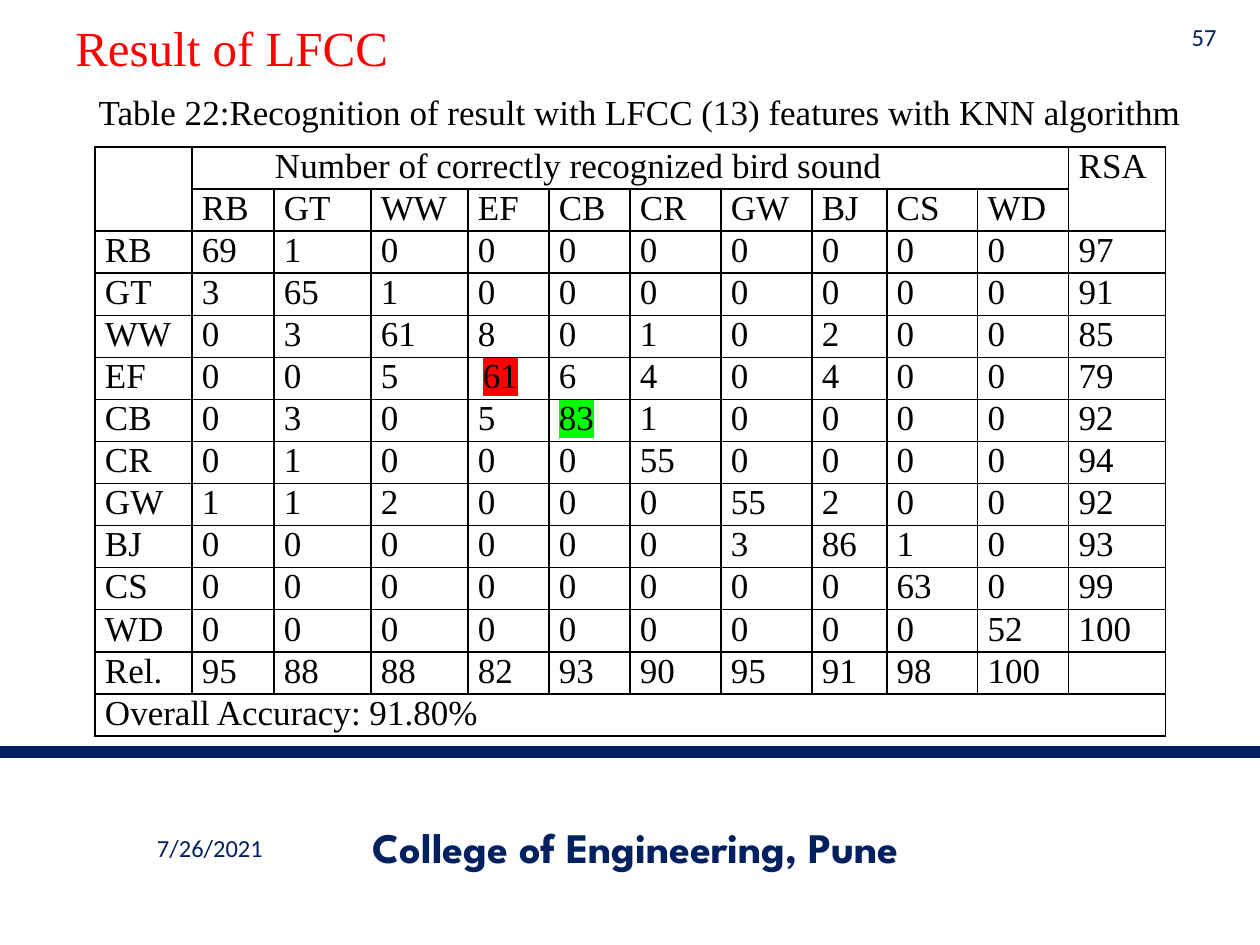
from lxml.etree import SubElement
from pptx import Presentation
from pptx.dml.color import RGBColor
from pptx.enum.shapes import MSO_CONNECTOR as Connector
from pptx.enum.text import MSO_ANCHOR as Anchor, PP_ALIGN as Align
from pptx.oxml import parse_xml
from pptx.oxml.ns import nsdecls, qn
from pptx.util import Pt

PX = 914400 / 126
SERIF = "Times New Roman"
NAVY, BLACK, RED, GREEN = "002060", "000000", "FF0000", "00FF00"


def set_font(paragraph, size, name, color, bold=False):
    font = paragraph.font
    font.size, font.name, font.bold = Pt(size), name, bold
    font.color.rgb = RGBColor.from_string(color)


def add_text(text, box, size, name, color, align, anchor=Anchor.MIDDLE, bold=False):
    frame = slide.shapes.add_textbox(*[int(v * PX) for v in box]).text_frame
    frame.word_wrap = True
    frame.vertical_anchor = anchor
    paragraph = frame.paragraphs[0]
    paragraph.text = text
    paragraph.alignment = align
    set_font(paragraph, size, name, color, bold)


prs = Presentation()
prs.slide_width, prs.slide_height = int(1260 * PX), int(945 * PX)
slide = prs.slides.add_slide(prs.slide_layouts[6])

# Footer rule
rule = slide.shapes.add_connector(
    Connector.STRAIGHT, 0, int(752 * PX), int(1260 * PX), int(752 * PX))
rule.line.width = Pt(6.5)
rule.line.color.rgb = RGBColor.from_string(NAVY)
SubElement(rule._element.spPr, qn("a:effectLst"))

# Title, footer, page number and caption
add_text("Result of LFCC", (63, -32, 1134, 158), 28, SERIF, RED, Align.LEFT)
add_text("7/26/2021", (63, 823, 294, 50), 14, "Calibri", NAVY, Align.CENTER)
add_text("College of Engineering, Pune", (305, 822, 662, 50), 24,
         "League Spartan", NAVY, Align.CENTER, bold=True)
add_text("57", (1166, 19, 63, 35), 14, "Calibri", NAVY, Align.RIGHT)
add_text("Table 22:Recognition of result with LFCC (13) features with KNN algorithm",
         (73, 84, 1134, 55), 20, SERIF, BLACK, Align.CENTER, Anchor.TOP)

# Confusion matrix: recognized counts per bird, then RSA
birds = ["RB", "GT", "WW", "EF", "CB", "CR", "GW", "BJ", "CS", "WD"]
counts = [
    [69, 1, 0, 0, 0, 0, 0, 0, 0, 0, 97],
    [3, 65, 1, 0, 0, 0, 0, 0, 0, 0, 91],
    [0, 3, 61, 8, 0, 1, 0, 2, 0, 0, 85],
    [0, 0, 5, 61, 6, 4, 0, 4, 0, 0, 79],
    [0, 3, 0, 5, 83, 1, 0, 0, 0, 0, 92],
    [0, 1, 0, 0, 0, 55, 0, 0, 0, 0, 94],
    [1, 1, 2, 0, 0, 0, 55, 2, 0, 0, 92],
    [0, 0, 0, 0, 0, 0, 3, 86, 1, 0, 93],
    [0, 0, 0, 0, 0, 0, 0, 0, 63, 0, 99],
    [0, 0, 0, 0, 0, 0, 0, 0, 0, 52, 100],
]
reliability = [95, 88, 88, 82, 93, 90, 95, 91, 98, 100]
rows = [
    ["", "Number of correctly recognized bird sound"] + [""] * 9 + ["RSA"],
    ["", *birds, ""],
    *[[bird, *values] for bird, values in zip(birds, counts)],
    ["Rel.", *reliability, ""],
    ["Overall Accuracy: 91.80%"] + [""] * 11,
]
col_widths = [97, 82, 97, 97, 81, 81, 91, 91, 75, 91, 91, 97]
row_height = 42
indents = {(0, 1): 83, (5, 4): 15}
highlights = {(5, 4): RED, (6, 5): GREEN}

matrix = slide.shapes.add_table(
    len(rows), len(col_widths), int(95 * PX), int(147 * PX),
    int(sum(col_widths) * PX), int(row_height * len(rows) * PX)).table
matrix.first_row = matrix.horz_banding = False
for column, width in zip(matrix.columns, col_widths):
    column.width = int(width * PX)

for r, values in enumerate(rows):
    matrix.rows[r].height = int(row_height * PX)
    for c, value in enumerate(values):
        cell = matrix.cell(r, c)
        cell.margin_left = int(indents.get((r, c), 10) * PX)
        cell.margin_right = cell.margin_top = cell.margin_bottom = 0
        cell.fill.background()
        paragraph = cell.text_frame.paragraphs[0]
        if value != "":
            paragraph.text = str(value)
        set_font(paragraph, 20, SERIF, BLACK)
        if (r, c) in highlights:
            run_props = paragraph.runs[0]._r.get_or_add_rPr()
            mark = SubElement(run_props, qn("a:highlight"))
            SubElement(mark, qn("a:srgbClr"), val=highlights[r, c])
        # Borders come before the fill in the cell properties
        for i, side in enumerate("LRTB"):
            cell._tc.get_or_add_tcPr().insert(i, parse_xml(
                f'<a:ln{side} {nsdecls("a")} w="12700"><a:solidFill>'
                f'<a:srgbClr val="{BLACK}"/></a:solidFill></a:ln{side}>'))

# Spanning header and total cells
for first, last in [((0, 0), (1, 0)), ((0, 1), (0, 10)),
                    ((0, 11), (1, 11)), ((13, 0), (13, 11))]:
    matrix.cell(*first).merge(matrix.cell(*last))

prs.save("out.pptx")
